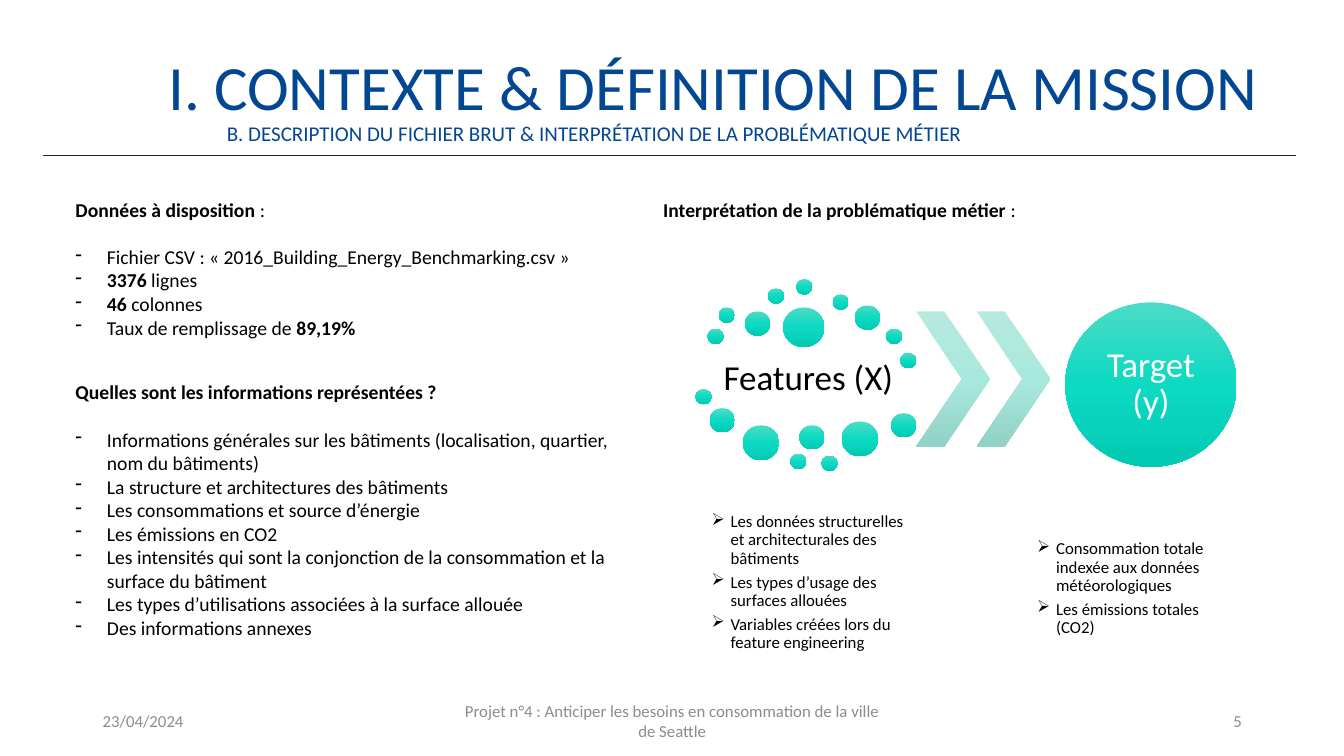
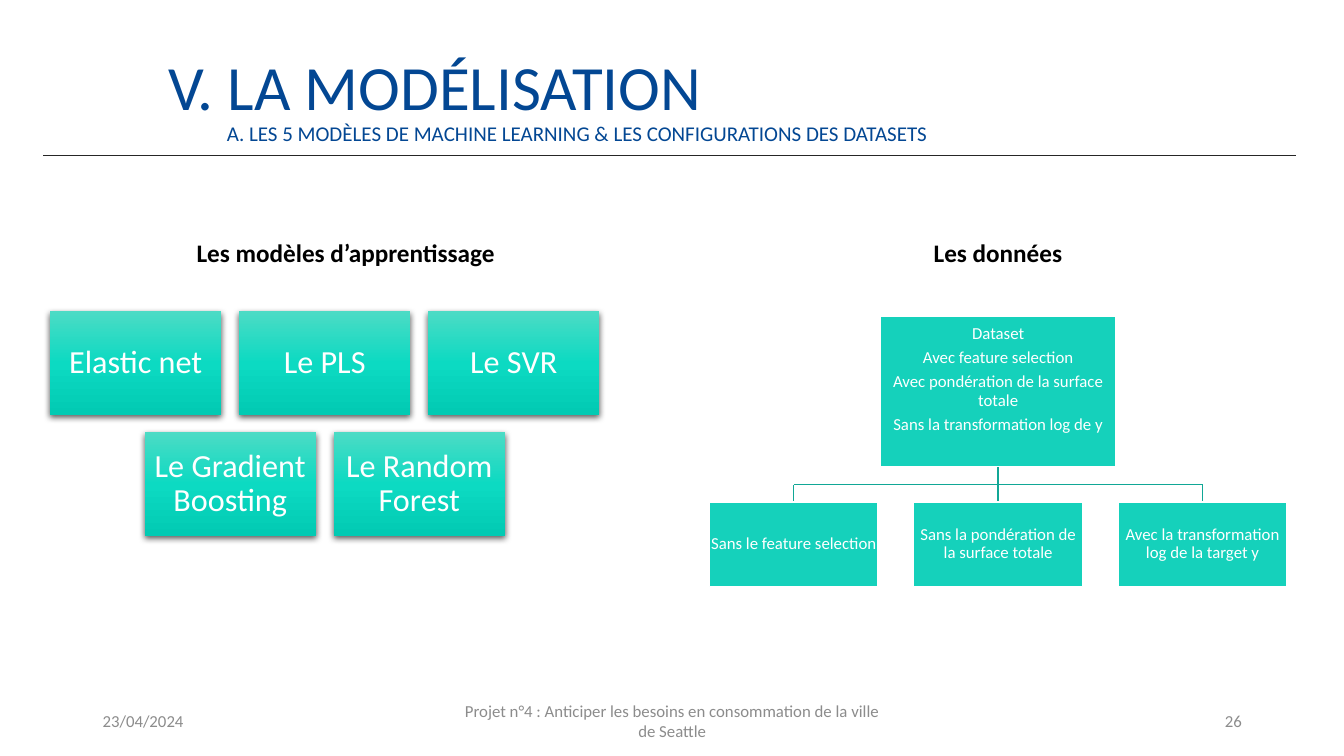
from copy import deepcopy
from dataclasses import dataclass

from lxml import etree
from pptx import Presentation
from pptx.dml.color import RGBColor
from pptx.enum.shapes import MSO_CONNECTOR, MSO_SHAPE
from pptx.enum.text import MSO_ANCHOR, PP_ALIGN
from pptx.oxml.ns import qn
from pptx.util import Pt

FONT = "Calibri"
NAVY, GREY, RULE = "034793", "8C8C8C", "262626"
BLACK, WHITE = "000000", "FFFFFF"
TEAL, DARK_TEAL = "15D1BB", "11A796"
TEAL_FADE = ("4CDBC5", "0CDAC2", "02CAB3")
PALE_FADE = ("B7E9DF", "A9E8DC", "92D2C6")
SMALL, MEDIUM, LARGE, HUGE = 11.5, 18, 26, 29.5


@dataclass
class Para:
    text: str
    bullet: str = ""
    indent: float = 0
    before: float = 0


@dataclass
class Box:
    x: float
    y: float
    w: float
    h: float


@dataclass
class Dot:
    x: float
    y: float
    size: float = SMALL


DOTS = [
    Dot(505.4, 234.7), Dot(513.4, 219.6), Dot(532.1, 222.5, MEDIUM),
    Dot(548.6, 205.9), Dot(568.8, 199.4), Dot(594.7, 210.2),
    Dot(610.6, 218.2, MEDIUM), Dot(632.9, 234.7), Dot(643, 252),
    Dot(559.4, 219.6, HUGE), Dot(496.8, 277.9), Dot(506.9, 291.6, MEDIUM),
    Dot(530.6, 303.8, LARGE), Dot(564.5, 324), Dot(571, 303.8, MEDIUM),
    Dot(586.8, 325.4), Dot(601.2, 301, LARGE), Dot(636.5, 295.2, MEDIUM),
]


def rgb(color: str) -> RGBColor:
    return RGBColor.from_string(color)


def write(sp, paras, *, size, color=BLACK, align=PP_ALIGN.LEFT,
          anchor=MSO_ANCHOR.TOP, inset=(7.2, 3.6, 7.2, 3.6),
          spacing=None, after=0):
    tf = sp.text_frame
    tf.word_wrap = True
    tf.vertical_anchor = anchor
    tf.margin_left, tf.margin_top, tf.margin_right, tf.margin_bottom = map(Pt, inset)
    for i, para in enumerate(paras):
        p = tf.add_paragraph() if i else tf.paragraphs[0]
        p.alignment = align
        p.space_after = Pt(after)
        if para.before:
            p.space_before = Pt(para.before)
        if spacing:
            p.line_spacing = spacing
        if para.bullet:
            pPr = p._p.get_or_add_pPr()
            pPr.set("marL", str(Pt(para.indent)))
            pPr.set("indent", str(-Pt(para.indent)))
            etree.SubElement(pPr, qn("a:buChar"), char=para.bullet)
        for j, part in enumerate(para.text.split("**")):
            if part:
                r = p.add_run()
                r.text = part
                r.font.name = FONT
                r.font.size = Pt(size)
                r.font.bold = j % 2 == 1
                r.font.color.rgb = rgb(color)


def add_text(s, box: Box, *paras, **fmt):
    sp = s.shapes.add_textbox(Pt(box.x), Pt(box.y), Pt(box.w), Pt(box.h))
    write(sp, [Para(p) if isinstance(p, str) else p for p in paras], **fmt)


def add_shape(s, kind, box: Box, *, fill=None, fade=None, line=None):
    sp = s.shapes.add_shape(kind, Pt(box.x), Pt(box.y), Pt(box.w), Pt(box.h))
    sp.shadow.inherit = False
    if fade:
        sp.fill.gradient()
        sp.fill.gradient_angle = 270
        stops = sp._element.spPr.find(qn("a:gradFill")).find(qn("a:gsLst"))
        stops.insert(1, deepcopy(stops[0]))
        for i, (stop, color) in enumerate(zip(sp.fill.gradient_stops, fade)):
            stop.position = i / 2
            stop.color.rgb = rgb(color)
    else:
        sp.fill.solid()
        sp.fill.fore_color.rgb = rgb(fill)
    if line:
        sp.line.color.rgb = rgb(line)
        sp.line.width = Pt(1)
    else:
        sp.line.fill.background()
    return sp


def add_shadow(sp):
    effects = sp._element.spPr.find(qn("a:effectLst"))
    shadow = etree.SubElement(effects, qn("a:outerShdw"), blurRad=str(Pt(4.5)),
                              dist=str(Pt(1.5)), dir="5400000", rotWithShape="0")
    color = etree.SubElement(shadow, qn("a:srgbClr"), val=BLACK)
    etree.SubElement(color, qn("a:alpha"), val="63000")


def add_line(s, x1: float, y1: float, x2: float, y2: float, color: str):
    ln = s.shapes.add_connector(MSO_CONNECTOR.STRAIGHT, Pt(x1), Pt(y1), Pt(x2), Pt(y2))
    ln.line.color.rgb = rgb(color)
    ln.line.width = Pt(1)
    etree.SubElement(ln._element.spPr, qn("a:effectLst"))


def add_slide(prs, title: str, subtitle: str, number: int):
    s = prs.slides.add_slide(prs.slide_layouts[6])
    add_line(s, 31, 111, 926, 111, RULE)
    heading = dict(color=NAVY, spacing=0.9, inset=(0, 3.6, 0, 3.6))
    add_text(s, Box(120.2, 26.6, 820, 65.5), title, size=45,
             anchor=MSO_ANCHOR.BOTTOM, **heading)
    add_text(s, Box(162, 82, 780, 28.8), subtitle, size=15,
             anchor=MSO_ANCHOR.MIDDLE, **heading)
    footers = [
        (66.2, 216, "23/04/2024", PP_ALIGN.LEFT),
        (318.2, 324, "Projet n°4 : Anticiper les besoins en consommation de la ville de Seattle",
         PP_ALIGN.CENTER),
        (678.2, 216, str(number), PP_ALIGN.RIGHT),
    ]
    for x, w, text, align in footers:
        add_text(s, Box(x, 500.4, w, 28.8), text, size=12, color=GREY,
                 align=align, anchor=MSO_ANCHOR.MIDDLE)
    return s


def bullets(mark: str, indent: float, first_gap: float, *texts: str) -> list[Para]:
    return [Para(t, mark, indent, 0 if i else first_gap) for i, t in enumerate(texts)]


def context_slide(prs):
    s = add_slide(prs, "I. CONTEXTE & DÉFINITION DE LA MISSION",
                  "B. DESCRIPTION DU FICHIER BRUT & INTERPRÉTATION DE LA PROBLÉMATIQUE MÉTIER", 5)
    add_text(s, Box(46.8, 137.5, 420, 108.7), "**Données à disposition **:",
             *bullets("-", 22.5, 17,
                      "Fichier CSV : «\u00a02016_Building_Energy_Benchmarking.csv\u00a0»",
                      "**3376 **lignes",
                      "**46 **colonnes",
                      "Taux de remplissage de **89,19%**"), size=14)
    add_text(s, Box(46.8, 268, 414, 211), "**Quelles sont les informations représentées ?**",
             *bullets("-", 22.5, 17,
                      "Informations générales sur les bâtiments (localisation, quartier, nom du bâtiments)",
                      "La structure et architectures des bâtiments",
                      "Les consommations et source d’énergie",
                      "Les émissions en CO2",
                      "Les intensités qui sont la conjonction de la consommation et la surface du bâtiment",
                      "Les types d’utilisations associées à la surface allouée",
                      "Des informations annexes"), size=14)
    add_text(s, Box(466.6, 137.5, 420, 24.5),
             "**Interprétation de la problématique métier **:", size=14)

    label = dict(size=25, align=PP_ALIGN.CENTER, anchor=MSO_ANCHOR.MIDDLE, spacing=0.9)
    add_text(s, Box(505.4, 248.4, 144, 45.4), "Features (X)", inset=(2, 2, 2, 2), **label)
    for dot in DOTS:
        add_shape(s, MSO_SHAPE.OVAL, Box(dot.x, dot.y, dot.size, dot.size * 0.96),
                  fade=TEAL_FADE)
    for i in range(2):
        chevron = add_shape(s, MSO_SHAPE.CHEVRON, Box(654.5 + 43.2 * i, 222.5, 52.6, 96.5),
                            fade=PALE_FADE)
        chevron.adjustments[0] = 0.62
    target = add_shape(s, MSO_SHAPE.OVAL, Box(761, 216, 122.4, 117.4), fade=TEAL_FADE)
    write(target, [Para("Target (y)")], color=WHITE, inset=(0, 0, 0, 0), **label)

    detail = dict(size=12, anchor=MSO_ANCHOR.MIDDLE, inset=(1.5, 1.5, 1.5, 1.5),
                  spacing=0.9, after=4.2)
    add_text(s, Box(506.9, 367.2, 144, 98),
             *bullets("➢", 13.5, 0,
                      "Les données structurelles et architecturales des bâtiments",
                      "Les types d’usage des surfaces allouées",
                      "Variables créées lors du feature engineering"), **detail)
    add_text(s, Box(739.4, 378, 144, 85),
             *bullets("➢", 13.5, 0,
                      "Consommation totale indexée aux données météorologiques",
                      "Les émissions totales (CO2)"), **detail)


def model_slide(prs):
    s = add_slide(prs, "V. LA MODÉLISATION",
                  "A. LES 5 MODÈLES DE MACHINE LEARNING & LES CONFIGURATIONS DES DATASETS", 26)
    for x, text in [(126.7, "Les modèles d’apprentissage"), (592.6, "Les données")]:
        add_text(s, Box(x, 166.3, 240.5, 28.8), f"**{text}**", size=18, align=PP_ALIGN.CENTER)

    centered = dict(color=WHITE, align=PP_ALIGN.CENTER, anchor=MSO_ANCHOR.MIDDLE, spacing=0.9)
    w, h, gap = 122.4, 73.8, 12.6
    models = [["Elastic net", "Le PLS", "Le SVR"], ["Le Gradient Boosting", "Le Random Forest"]]
    for row, names in enumerate(models):
        left = 232 - (len(names) * (w + gap) - gap) / 2
        for col, name in enumerate(names):
            sp = add_shape(s, MSO_SHAPE.RECTANGLE,
                           Box(left + col * (w + gap), 222.5 + row * (h + gap), w, h),
                           fade=TEAL_FADE)
            add_shadow(sp)
            write(sp, [Para(name)], size=23, inset=(7, 7, 7, 7), **centered)

    mid, step, top, bus, bottom = 713, 146, 333.4, 346.3, 358.6
    add_line(s, mid, top, mid, bottom, DARK_TEAL)
    add_line(s, mid - step, bus, mid + step, bus, DARK_TEAL)
    for x in (mid - step, mid + step):
        add_line(s, x, bus, x, bottom, DARK_TEAL)
    parent = add_shape(s, MSO_SHAPE.RECTANGLE, Box(mid - 84.3, 226.2, 168.6, 107.2),
                       fill=TEAL, line=WHITE)
    write(parent, [Para("Dataset"), Para("Avec feature selection"),
                   Para("Avec pondération de la surface totale"),
                   Para("Sans la transformation log de y")],
          size=12, inset=(0.6, 0.6, 0.6, 18), after=4.2, **centered)
    variants = ["Sans le feature selection", "Sans la pondération de la surface totale",
                "Avec la transformation log de la target y"]
    for i, text in enumerate(variants):
        sp = add_shape(s, MSO_SHAPE.RECTANGLE,
                       Box(mid + (i - 1) * step - 60.3, bottom, 120.6, 60.3),
                       fill=TEAL, line=WHITE)
        write(sp, [Para(text)], size=12, inset=(0.6, 0.6, 0.6, 0.6), **centered)


def main():
    prs = Presentation()
    prs.slide_width, prs.slide_height = Pt(960), Pt(540)
    context_slide(prs)
    model_slide(prs)
    prs.save("out.pptx")


if __name__ == "__main__":
    main()
